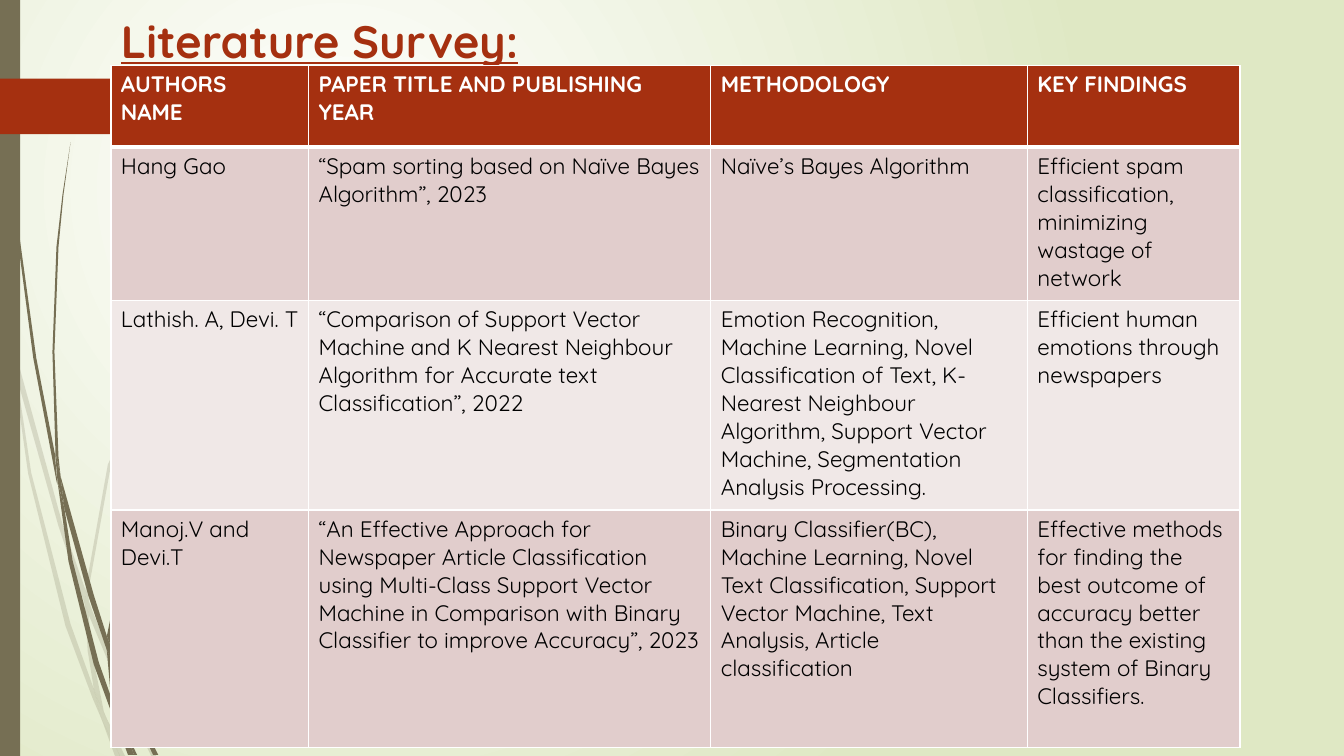
from dataclasses import dataclass

from pptx import Presentation
from pptx.dml.color import RGBColor
from pptx.enum.shapes import MSO_SHAPE
from pptx.enum.text import MSO_ANCHOR, PP_ALIGN
from pptx.oxml import parse_xml
from pptx.oxml.ns import nsdecls
from pptx.util import Inches, Pt

RECT, ARROW = MSO_SHAPE.RECTANGLE, MSO_SHAPE.PENTAGON
TOP, LEFT = MSO_ANCHOR.TOP, PP_ALIGN.LEFT
FONT = "Quicksand"
COLORS = {
    "rust": "A53010", "olive": "766F54", "white": "FFFFFF", "black": "000000",
    "green": "DFE8C4", "rose": "E1CDCC", "pale": "F0E8E7",
}


@dataclass
class Wisp:
    """A blade of grass: outline points in hundredths of an inch."""
    alpha: int
    points: list[tuple[int, int]]


@dataclass
class Row:
    height: float
    fill: str
    cells: list[str]


@dataclass
class Block:
    kind: int
    box: tuple[float, float, float, float]
    fill: str


FAINT = [
    [(11, 350), (9, 322), (0, 282), (0, 299), (10, 344)],
    [(58, 522), (84, 599), (85, 586), (62, 520), (14, 345), (17, 376)],
    [(92, 607), (88, 596), (88, 610), (123, 694), (150, 750), (155, 750), (127, 692)],
    [(119, 750), (124, 750), (105, 711)],
    [(93, 683), (70, 619), (31, 469), (17, 376), (11, 350), (28, 470), (65, 621),
     (92, 693), (101, 714), (99, 707)],
    [(84, 599), (87, 646), (93, 683), (96, 692), (105, 711), (103, 706), (91, 646),
     (88, 610), (88, 608)],
    [(88, 584), (110, 462), (160, 349), (229, 245), (268, 198), (290, 175), (312, 154),
     (312, 153), (289, 175), (268, 197), (228, 244), (158, 348), (107, 461), (85, 584),
     (85, 586), (88, 596)],
    [(101, 714), (114, 750), (119, 750)],
    [(88, 608), (88, 596), (85, 586), (84, 599)],
    [(96, 692), (93, 683), (99, 707), (101, 714), (119, 750), (105, 711)],
]
DARK = [
    [(7, 110), (17, 233), (33, 355), (56, 477), (57, 481), (55, 457), (55, 453), (36, 355),
     (19, 232), (8, 109), (5, 48), (4, 0), (3, 0), (4, 48)],
    [(88, 592), (106, 645), (106, 631), (93, 590), (60, 472), (64, 505)],
    [(113, 649), (110, 641), (111, 656), (132, 708), (152, 749), (157, 749), (136, 706)],
    [(110, 691), (98, 657), (72, 556), (64, 505), (57, 477), (68, 557), (93, 659),
     (111, 708), (117, 722), (116, 717)],
    [(60, 472), (58, 453), (54, 349), (58, 245), (63, 193), (70, 141), (62, 193),
     (56, 245), (52, 349), (55, 449)],
    [(133, 749), (136, 749), (122, 719)],
    [(57, 477), (64, 505), (60, 472), (55, 449), (55, 453)],
    [(111, 633), (125, 552), (158, 476), (205, 406), (231, 374), (245, 359), (261, 344),
     (245, 358), (231, 373), (204, 405), (156, 474), (122, 551), (106, 631), (110, 641)],
    [(117, 722), (127, 749), (131, 749)],
    [(106, 645), (110, 691), (116, 706), (122, 719), (121, 716), (111, 656), (109, 651)],
    [(106, 645), (111, 656), (110, 641), (106, 631)],
    [(116, 706), (110, 691), (116, 717), (117, 722), (130, 749), (133, 749), (122, 719)],
]
WISPS = [Wisp(20, pts) for pts in FAINT] + [Wisp(100, pts) for pts in DARK]

BLOCKS = [
    Block(RECT, (0, 0, 0.2, 7.5), "olive"),
    Block(ARROW, (0, 0.78, 1.74, 0.55), "rust"),
]

WIDTHS = [1.96, 3.99, 3.14, 2.11]
ROWS = [
    Row(0.81, "rust", ["AUTHORS\nNAME", "PAPER TITLE AND PUBLISHING YEAR",
                       "METHODOLOGY", "KEY FINDINGS"]),
    Row(1.52, "rose", [
        "Hang Gao",
        "“Spam sorting based on Naïve Bayes Algorithm”, 2023",
        "Naïve’s Bayes Algorithm",
        "Efficient spam classification, minimizing wastage of network"]),
    Row(2.08, "pale", [
        "Lathish. A, Devi. T",
        "“Comparison of Support Vector Machine and K Nearest Neighbour Algorithm "
        "for Accurate text Classification”, 2022",
        "Emotion Recognition, Machine Learning, Novel Classification of Text, "
        "K-Nearest Neighbour Algorithm, Support Vector Machine, Segmentation "
        "Analysis Processing.",
        "Efficient human emotions through newspapers"]),
    Row(2.36, "rose", [
        "Manoj.V and Devi.T",
        "“An Effective Approach for Newspaper Article Classification using "
        "Multi-Class Support Vector Machine in Comparison with Binary Classifier "
        "to improve Accuracy”, 2023",
        "Binary Classifier(BC), Machine Learning, Novel Text Classification, "
        "Support Vector Machine, Text Analysis, Article classification",
        "Effective methods for finding the best outcome of accuracy better than "
        "the existing system of Binary Classifiers."]),
]


def rgb(name: str) -> RGBColor:
    return RGBColor.from_string(COLORS[name])


def style(font, size: float, color: str, bold: bool) -> None:
    font.name, font.size, font.bold = FONT, Pt(size), bold
    font.color.rgb = rgb(color)


def paint(shape, color: str) -> None:
    shape.shadow.inherit = False
    shape.fill.solid()
    shape.fill.fore_color.rgb = rgb(color)
    shape.line.fill.background()


def set_back(slide) -> None:
    fill = slide.background.fill
    fill.gradient()
    for stop, color in zip(fill.gradient_stops, ("white", "green")):
        stop.color.rgb = rgb(color)
    line = slide.element.xpath(".//p:bg//a:lin")[0]
    line.getparent().replace(line, parse_xml(
        f'<a:path {nsdecls("a")} path="circle"><a:fillToRect l="50000" t="50000" '
        'r="100000" b="100000"/></a:path>'))


def draw_wisp(slide, wisp: Wisp) -> None:
    pen = slide.shapes.build_freeform(*wisp.points[0], scale=Inches(0.01))
    pen.add_line_segments(wisp.points[1:], close=True)
    blade = pen.convert_to_shape()
    paint(blade, "olive")
    if wisp.alpha < 100:
        color = blade.element.xpath("./p:spPr/a:solidFill/a:srgbClr")[0]
        color.append(parse_xml(f'<a:alpha {nsdecls("a")} val="{wisp.alpha * 1000}"/>'))


def draw_block(slide, block: Block) -> None:
    paint(slide.shapes.add_shape(block.kind, *map(Inches, block.box)), block.fill)


def set_title(slide) -> None:
    title = slide.shapes.title
    title.left, title.top = Inches(1.1), Inches(0.08)
    title.width, title.height = Inches(11.48), Inches(0.65)
    frame = title.text_frame
    frame.text = "Literature Survey:"
    frame.vertical_anchor = TOP
    line = frame.paragraphs[0]
    line.alignment = LEFT
    style(line.font, 32.4, "rust", True)
    line.font.underline = True


def set_edges(cell, top: int, low: int) -> None:
    props = cell._tc.get_or_add_tcPr()
    for spot, (side, width) in enumerate(zip("LRTB", (1, 1, top, low))):
        props.insert(spot, parse_xml(
            f'<a:ln{side} {nsdecls("a")} w="{Pt(width)}"><a:solidFill>'
            f'<a:srgbClr val="{COLORS["white"]}"/></a:solidFill></a:ln{side}>'))


def draw_table(slide) -> None:
    frame = slide.shapes.add_table(
        len(ROWS), len(WIDTHS), Inches(1.1), Inches(0.65),
        Inches(sum(WIDTHS)), Inches(sum(row.height for row in ROWS)))
    table = frame.table
    for col, width in zip(table.columns, WIDTHS):
        col.width = Inches(width)
    for i, row in enumerate(ROWS):
        table.rows[i].height = Inches(row.height)
        head = i == 0
        for cell, text in zip(table.rows[i].cells, row.cells):
            cell.text = text
            cell.fill.solid()
            cell.fill.fore_color.rgb = rgb(row.fill)
            set_edges(cell, 3 if i == 1 else 1, 3 if head else 1)
            for line in cell.text_frame.paragraphs:
                style(line.font, 16, "white" if head else "black", head)


def main() -> None:
    deck = Presentation()
    deck.slide_width, deck.slide_height = Inches(13.33), Inches(7.5)
    slide = deck.slides.add_slide(deck.slide_layouts[5])
    set_back(slide)
    # Grass and side band
    for wisp in WISPS:
        draw_wisp(slide, wisp)
    for block in BLOCKS:
        draw_block(slide, block)
    # Title and survey
    set_title(slide)
    draw_table(slide)
    deck.save("out.pptx")


if __name__ == "__main__":
    main()
